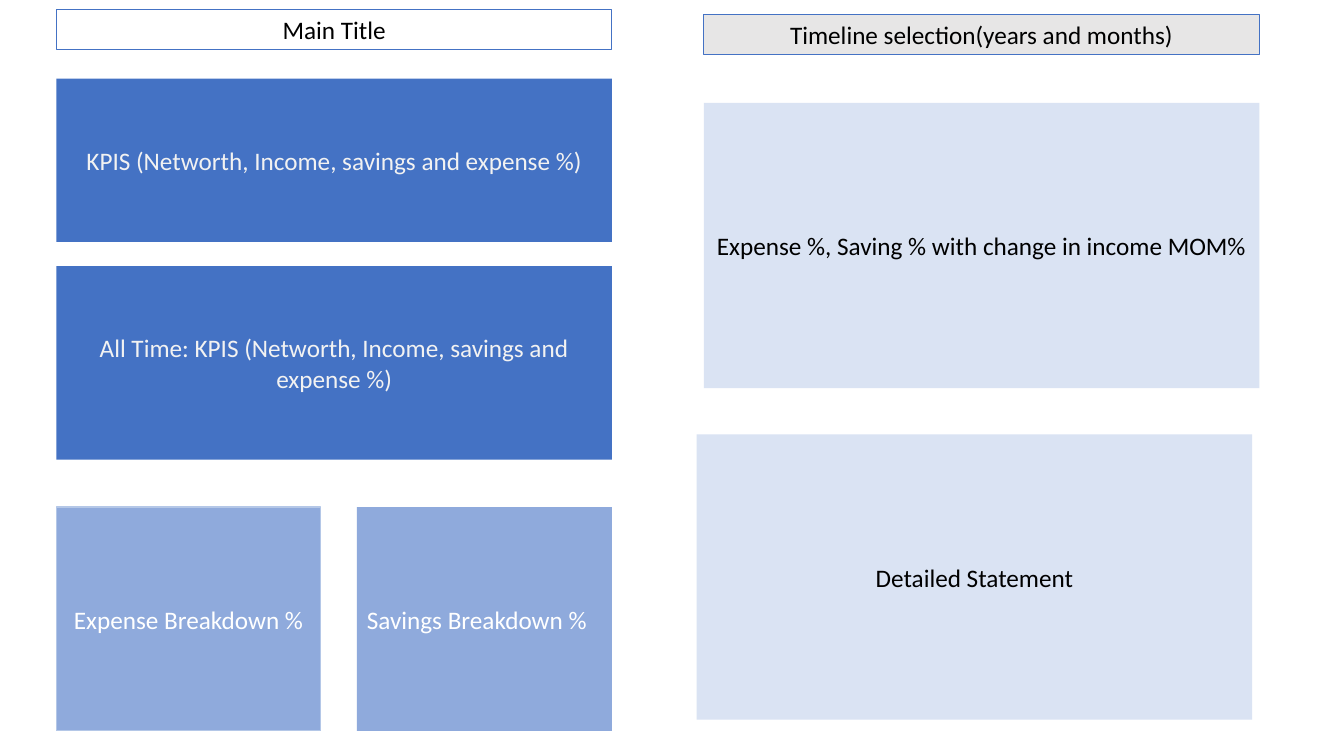
from pptx import Presentation
from pptx.dml.color import RGBColor
from pptx.enum.shapes import MSO_SHAPE
from pptx.enum.text import MSO_ANCHOR, MSO_AUTO_SIZE, PP_ALIGN
from pptx.util import Pt

RECTANGLE = MSO_SHAPE.RECTANGLE
MIDDLE = MSO_ANCHOR.MIDDLE
NO_AUTOFIT = MSO_AUTO_SIZE.NONE
LEFT, CENTER = PP_ALIGN.LEFT, PP_ALIGN.CENTER

BLUE = RGBColor(0x44, 0x72, 0xC4)
MID_BLUE = RGBColor(0x8F, 0xAA, 0xDC)
SOFT_BLUE = RGBColor(0xB4, 0xC7, 0xE7)
PALE_BLUE = RGBColor(0xDA, 0xE3, 0xF3)
GRAY = RGBColor(0xE7, 0xE6, 0xE6)
OFF_WHITE = RGBColor(0xF2, 0xF2, 0xF2)
WHITE = RGBColor(0xFF, 0xFF, 0xFF)
BLACK = RGBColor(0x00, 0x00, 0x00)

PX = 9144  # EMU per px, 100 px to the inch
SLIDE_WIDTH, SLIDE_HEIGHT = 1333, 750
LEFT_COLUMN, RIGHT_COLUMN = 56, 698
COLUMN_WIDTH, BAR_HEIGHT, PANEL_HEIGHT = 551, 40, 283
BREAKDOWN_TOP, BREAKDOWN_HEIGHT = 503, 222


class Wireframe:
    """Holds the text style and the current slide."""

    font_name = "Calibri"
    font_size = Pt(18)
    line_width = Pt(0.75)

    def __init__(self, slide):
        self.slide = slide

    def title(self, text, area, line):
        box = self.slide.shapes.title
        box.left, box.top, box.width, box.height = (length * PX for length in area)
        self.format(box, text, None, BLACK, line, CENTER)

    def block(self, text, area, fill, color, line=None, align=CENTER):
        box = self.slide.shapes.add_shape(RECTANGLE, *(length * PX for length in area))
        box.shadow.inherit = False
        self.format(box, text, fill, color, line, align)

    def format(self, box, text, fill, color, line, align):
        if fill is None:
            box.fill.background()
        else:
            box.fill.solid()
            box.fill.fore_color.rgb = fill
        if line is None:
            box.line.fill.background()
        else:
            box.line.color.rgb = line
            box.line.width = self.line_width

        frame = box.text_frame
        frame.text = text
        frame.word_wrap = True
        frame.auto_size = NO_AUTOFIT
        frame.vertical_anchor = MIDDLE
        para = frame.paragraphs[0]
        para.alignment = align
        para.font.name = self.font_name
        para.font.size = self.font_size
        para.font.color.rgb = color


def main():
    deck = Presentation()
    deck.slide_width, deck.slide_height = SLIDE_WIDTH * PX, SLIDE_HEIGHT * PX
    title_only = deck.slide_layouts[5]
    page = Wireframe(deck.slides.add_slide(title_only))

    # Header bars
    page.title("Main Title", (LEFT_COLUMN, 9, COLUMN_WIDTH, BAR_HEIGHT), BLUE)
    page.block("Timeline selection(years and months)",
               (RIGHT_COLUMN, 14, COLUMN_WIDTH, BAR_HEIGHT), GRAY, BLACK, BLUE)

    # Key figures
    page.block("KPIS (Networth, Income, savings and expense %)",
               (LEFT_COLUMN, 78, COLUMN_WIDTH, 162), BLUE, OFF_WHITE)
    page.block("All Time: KPIS (Networth, Income, savings and expense %)",
               (LEFT_COLUMN, 264, COLUMN_WIDTH, 192), BLUE, OFF_WHITE)

    # Breakdowns
    page.block("Expense Breakdown %",
               (LEFT_COLUMN, BREAKDOWN_TOP, 262, BREAKDOWN_HEIGHT),
               MID_BLUE, WHITE, SOFT_BLUE)
    page.block("Savings Breakdown %",
               (354, BREAKDOWN_TOP, 253, BREAKDOWN_HEIGHT),
               MID_BLUE, WHITE, align=LEFT)

    # Detail panels
    page.block("Expense %, Saving % with change in income MOM%",
               (RIGHT_COLUMN, 102, COLUMN_WIDTH, PANEL_HEIGHT), PALE_BLUE, BLACK)
    page.block("Detailed Statement",
               (691, 431, COLUMN_WIDTH, PANEL_HEIGHT), PALE_BLUE, BLACK)

    deck.save("out.pptx")


if __name__ == "__main__":
    main()
